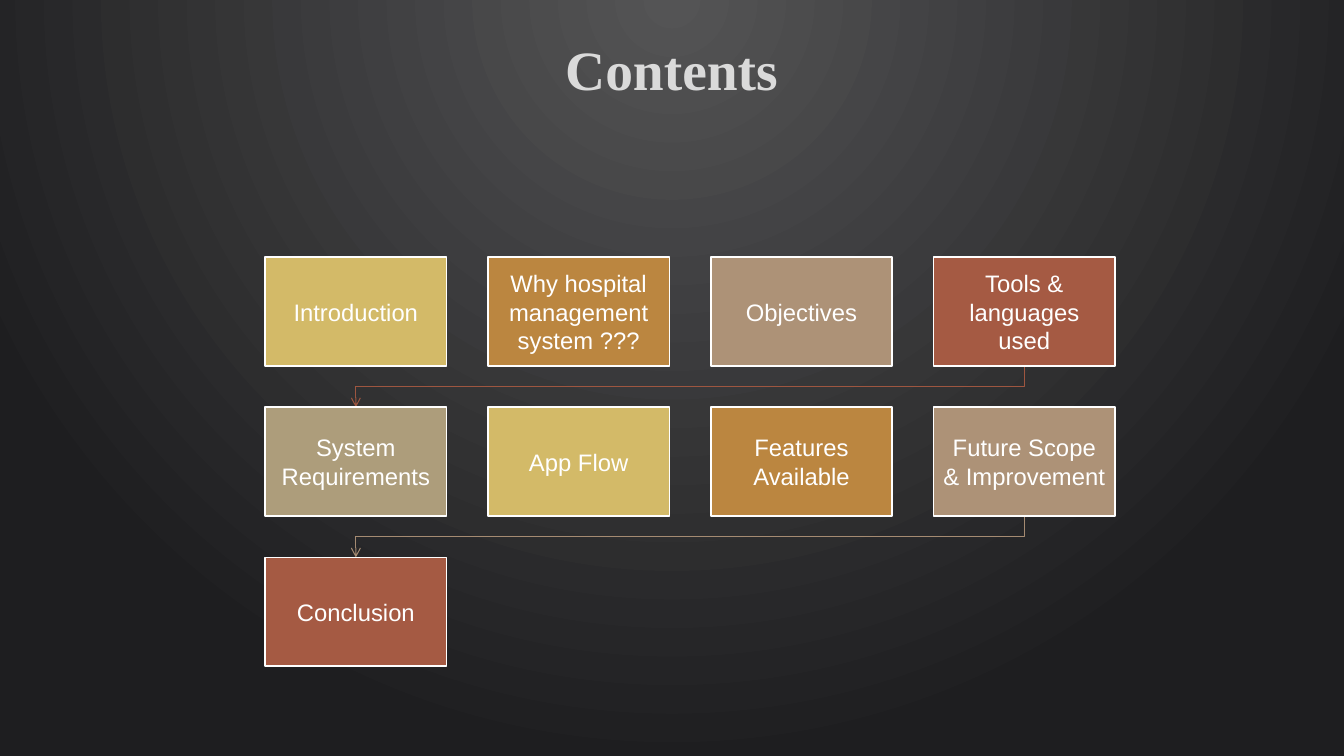
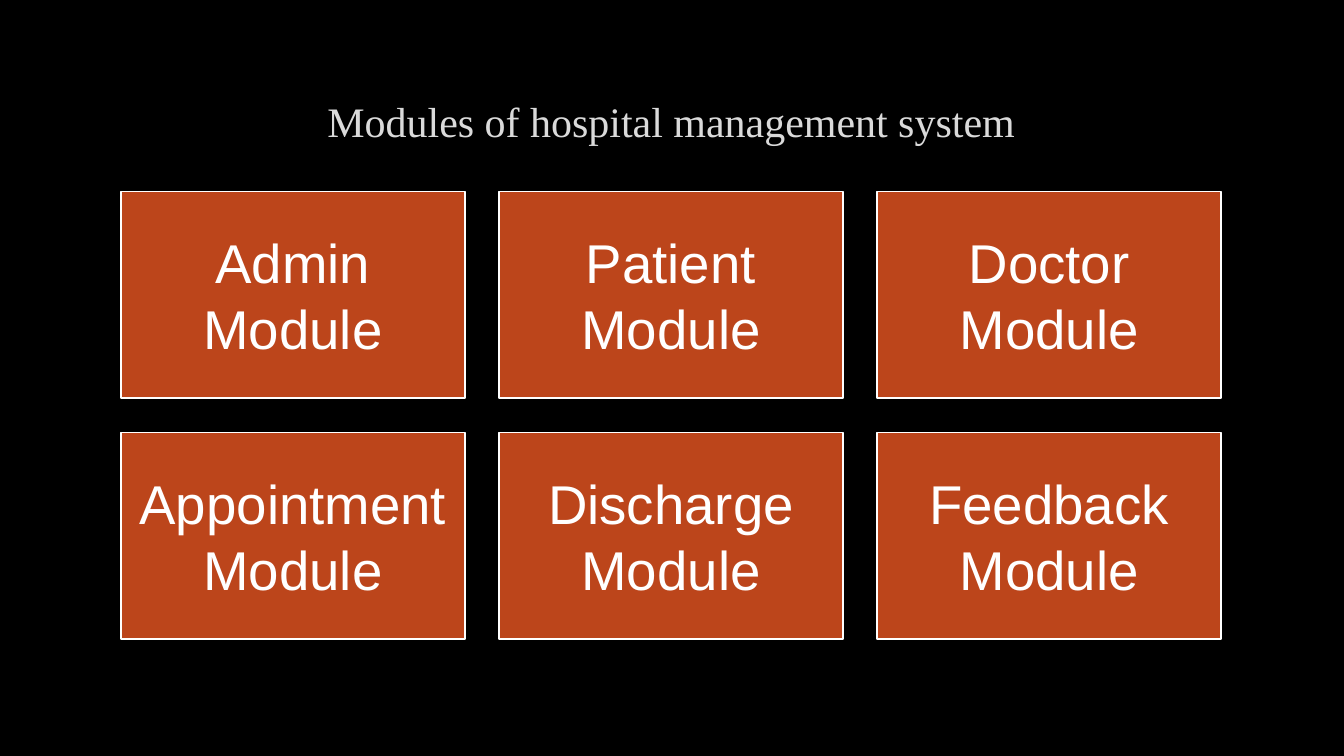
import pptx
import pptx.util
import pptx.dml.color
import pptx.enum.shapes
import pptx.enum.text
import pptx.oxml
import pptx.oxml.ns

Inches = pptx.util.Inches
Pt = pptx.util.Pt
RGBColor = pptx.dml.color.RGBColor
qn = pptx.oxml.ns.qn
NS = pptx.oxml.ns.nsdecls("a")

WHITE = RGBColor(0xFF, 0xFF, 0xFF)
BLACK = RGBColor(0, 0, 0)
SILVER = RGBColor(0xDA, 0xDA, 0xDA)
GRAY = RGBColor(0x54, 0x54, 0x55)
COAL = RGBColor(0x1E, 0x1E, 0x20)
GOLD = RGBColor(0xD3, 0xBA, 0x68)
AMBER = RGBColor(0xBB, 0x86, 0x40)
TAN = RGBColor(0xAD, 0x92, 0x77)
RUST = RGBColor(0xA5, 0x5A, 0x43)
OLIVE = RGBColor(0xAD, 0x9D, 0x7B)
BRICK = RGBColor(0xBC, 0x45, 0x1B)
DARK_RUST = RGBColor(0x9E, 0x56, 0x40)
DARK_TAN = RGBColor(0xA5, 0x8B, 0x72)

TITLE_FONT = "Times New Roman"
BODY_FONT = "Arial"
TOPICS = [
    "Introduction", "Why hospital management system ???", "Objectives",
    "Tools & languages used", "System Requirements", "App Flow",
    "Features Available", "Future Scope & Improvement", "Conclusion",
]
MODULES = ["Admin", "Patient", "Doctor", "Appointment", "Discharge", "Feedback"]


def add_slide(deck):
    return deck.slides.add_slide(deck.slide_layouts[6])


def set_glow(slide):
    """Fill the background with a radial gradient centred on the top edge."""
    fill = slide.background.fill
    fill.gradient()
    for stop, color in zip(fill.gradient_stops, (GRAY, COAL)):
        stop.color.rgb = color
    grad = slide._element.find(".//" + qn("a:gradFill"))
    grad.remove(grad.find(qn("a:lin")))
    grad.append(pptx.oxml.parse_xml(
        f'<a:path {NS} path="circle">'
        '<a:fillToRect l="43000" t="0" r="43000" b="100000"/></a:path>'))


def style(frame, font, size, color, bold=False):
    frame.word_wrap = True
    frame.vertical_anchor = pptx.enum.text.MSO_ANCHOR.MIDDLE
    para = frame.paragraphs[0]
    para.alignment = pptx.enum.text.PP_ALIGN.CENTER
    run = para.runs[0]
    run.font.name = font
    run.font.size = Pt(size)
    run.font.bold = bold
    run.font.color.rgb = color
    return run


def add_title(slide, text, top, high, size, bold=False):
    box = slide.shapes.add_textbox(Inches(1), Inches(top), Inches(11.32), Inches(high))
    box.text_frame.text = text
    run = style(box.text_frame, TITLE_FONT, size, SILVER, bold)
    fill = run._r.rPr.find(qn("a:solidFill"))
    fill.addnext(pptx.oxml.parse_xml(
        f'<a:effectLst {NS}><a:outerShdw blurRad="38100" dist="38100" dir="2700000">'
        '<a:srgbClr val="000000"><a:alpha val="60000"/></a:srgbClr>'
        '</a:outerShdw></a:effectLst>'))


def add_card(slide, text, at, size, inset, color):
    rect = pptx.enum.shapes.MSO_SHAPE.RECTANGLE
    card = slide.shapes.add_shape(rect, *(Inches(n) for n in at))
    card.shadow.inherit = False
    card.fill.solid()
    card.fill.fore_color.rgb = color
    card.line.color.rgb = WHITE
    card.line.width = Pt(1.25)
    frame = card.text_frame
    frame.text = text
    frame.margin_left = frame.margin_right = Inches(inset)
    frame.margin_top = frame.margin_bottom = Inches(inset)
    style(frame, BODY_FONT, size, WHITE)


def add_grid(slide, texts, first, gap, cols, size, inset, colors):
    """Lay cards out row by row from the first cell, cycling the colours."""
    left, top, wide, high = first
    for i, text in enumerate(texts):
        row, col = divmod(i, cols)
        at = (left + col * (wide + gap), top + row * (high + gap), wide, high)
        add_card(slide, text, at, size, inset, colors[i % len(colors)])


def add_turn(slide, start, end, color):
    """Draw an arrow that steps down, across and down to the next row."""
    (x1, y1), (x2, y2) = start, end
    mid = (y1 + y2) / 2
    pen = slide.shapes.build_freeform(Inches(x1), Inches(y1))
    pen.add_line_segments(
        [(Inches(x), Inches(y)) for x, y in ((x1, mid), (x2, mid), (x2, y2))],
        close=False)
    turn = pen.convert_to_shape()
    turn.shadow.inherit = False
    turn.fill.background()
    turn.line.color.rgb = color
    turn.line.width = Pt(0.75)
    turn.line._get_or_add_ln().append(
        pptx.oxml.parse_xml(f'<a:tailEnd {NS} type="arrow"/>'))


def add_contents(deck):
    slide = add_slide(deck)
    set_glow(slide)
    add_title(slide, "Contents", 0.28, 0.8, 39.6, bold=True)
    left, top, wide, high = first = (2.63, 2.55, 1.8, 1.08)
    gap, cols = 0.41, 4
    head = left + wide / 2
    last = head + (cols - 1) * (wide + gap)
    for row, color in enumerate((DARK_RUST, DARK_TAN)):
        base = top + high + row * (high + gap)
        add_turn(slide, (last, base), (head, base + gap), color)
    add_grid(slide, TOPICS, first, gap, cols, 17, 0.09,
             (GOLD, AMBER, TAN, RUST, OLIVE))


def add_modules(deck):
    slide = add_slide(deck)
    slide.background.fill.solid()
    slide.background.fill.fore_color.rgb = BLACK
    add_title(slide, "Modules of hospital management system", 0.67, 1.06, 30)
    add_grid(slide, [name + " Module" for name in MODULES],
             (1.2, 1.9, 3.41, 2.05), 0.34, 3, 39, 0.16, (BRICK,))


def main():
    deck = pptx.Presentation()
    deck.slide_width = Inches(13.33)
    deck.slide_height = Inches(7.5)
    add_contents(deck)
    add_modules(deck)
    deck.save("out.pptx")


if __name__ == "__main__":
    main()
